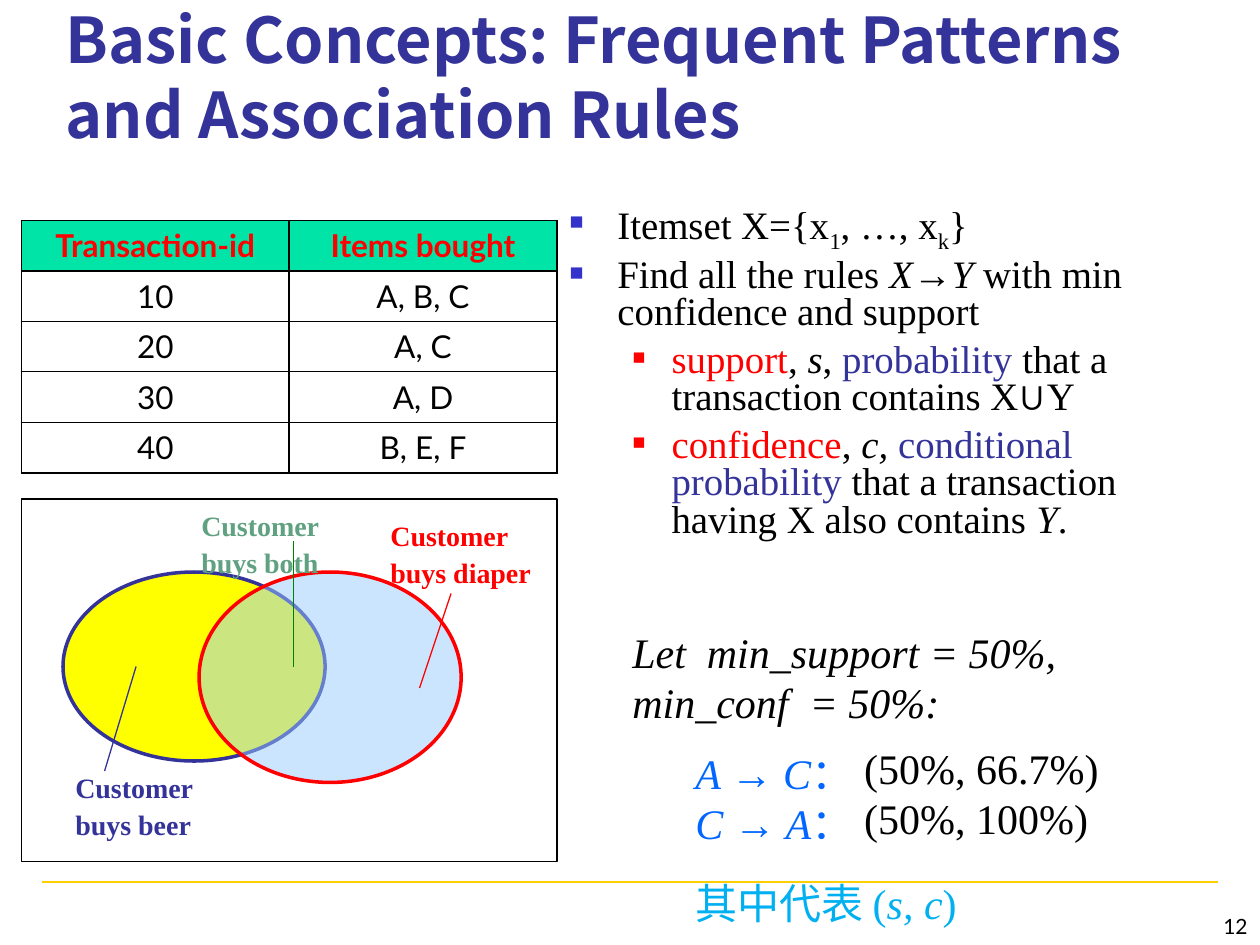
from lxml.etree import SubElement
from pptx import Presentation
from pptx.dml.color import RGBColor
from pptx.enum.shapes import MSO_CONNECTOR, MSO_SHAPE
from pptx.enum.text import MSO_ANCHOR, PP_ALIGN
from pptx.oxml.ns import qn
from pptx.util import Inches, Pt

BLACK = RGBColor(0, 0, 0)
RED = RGBColor(0xFF, 0, 0)
NAVY = RGBColor(0x33, 0x33, 0x99)
INDIGO = RGBColor(0x33, 0x33, 0xCC)
BLUE = RGBColor(0x00, 0x66, 0xFF)
CYAN = RGBColor(0x00, 0xB0, 0xF0)
SKY = RGBColor(0x99, 0xCC, 0xFF)
YELLOW = RGBColor(0xFF, 0xFF, 0)
GOLD = RGBColor(0xFF, 0xCF, 0x01)
GREEN = RGBColor(0, 0x80, 0)
SAGE = RGBColor(0x5F, 0xA1, 0x80)
MINT = RGBColor(0, 0xE4, 0xA8)
SERIF, SANS, ARIAL = "Times New Roman", "Lato", "Arial"

TITLE = "Basic Concepts: Frequent Patterns and Association Rules"

# A run is (text, marks, colour); marks: i italic, b bold, - subscript, a Arial
BODY = [
    (0, [("Itemset X={x", "", BLACK), ("1", "-", BLACK), (", …, x", "", BLACK),
         ("k", "-", BLACK), ("}", "", BLACK)]),
    (0, [("Find all the rules ", "", BLACK), ("X", "i", BLACK), ("→", "ia", BLACK),
         ("Y ", "i", BLACK), ("with min confidence and support", "", BLACK)]),
    (1, [("support", "", RED), (", ", "", BLACK), ("s", "i", BLACK), (", ", "", BLACK),
         ("probability", "", NAVY), (" that a transaction contains X", "", BLACK),
         ("∪", "a", BLACK), ("Y", "", BLACK)]),
    (1, [("confidence", "", RED), (", ", "", BLACK), ("c, ", "i", BLACK),
         ("conditional probability", "", NAVY),
         (" that a transaction having X also contains ", "", BLACK),
         ("Y", "i", BLACK), (".", "", BLACK)]),
]
# level: (left indent, hanging indent, bullet colour, bullet size in %)
LEVELS = [(0.38, -0.38, INDIGO, 60), (0.81, -0.31, RED, 55)]

# (left indent, space before, runs)
RULES = [
    (0, 0, [("Let  min_support = 50%, min_conf  = 50%:", "i", BLACK)]),
    (0.5, 11.5, [("A ", "i", BLUE), ("→", "a", BLUE), (" C", "i", BLUE), ("：", "", BLUE)]),
    (0.5, 0, [("C ", "i", BLUE), ("→", "a", BLUE), (" A", "i", BLUE), ("：", "", BLUE)]),
    (0.5, 17, [("其中代表 (", "", CYAN), ("s, c", "i", CYAN), (")", "", CYAN)]),
]
SCORES = ["(50%, 66.7%)", "(50%, 100%)"]

TABLE = [("Transaction-id", "Items bought"), ("10", "A, B, C"), ("20", "A, C"),
         ("30", "A, D"), ("40", "B, E, F")]

OVALS = [((0.5, 4.54, 2.08, 1.5), YELLOW, NAVY, 100),
         ((1.58, 4.54, 2.08, 1.67), SKY, RED, 50)]
LEADS = [((1.08, 5.29, 0.83, 6.12), NAVY), ((3.33, 5.46, 3.58, 4.71), RED),
         ((2.33, 5.29, 2.33, 4.29), GREEN)]
LABELS = [((3, 4.04, 1.35, 0.69), "buys diaper", RED),
          ((1.5, 3.96, 1.16, 0.69), "buys both", SAGE),
          ((0.5, 6.04, 1.16, 0.69), "buys beer", NAVY)]


def inches(nums):
    return [Inches(n) for n in nums]


def write(para, runs, size, face=SERIF):
    for text, marks, color in runs:
        run = para.add_run()
        run.text = text
        font = run.font
        font.size, font.name = Pt(size), ARIAL if "a" in marks else face
        font.bold, font.italic = "b" in marks, "i" in marks
        font.color.rgb = color
        if "-" in marks:
            font._element.set("baseline", "-25000")


def lines(frame, count):
    """Yield the given number of paragraphs, starting with the one already there."""
    for n in range(count):
        yield frame.add_paragraph() if n else frame.paragraphs[0]


def indent(para, left, hang=0):
    props = para._p.get_or_add_pPr()
    props.set("marL", str(Inches(left)))
    props.set("indent", str(Inches(hang)))
    return props


def bullet(props, color, size):
    SubElement(SubElement(props, qn("a:buClr")), qn("a:srgbClr"), val=str(color))
    SubElement(props, qn("a:buSzPct"), val=str(size * 1000))
    SubElement(props, qn("a:buFont"), typeface=ARIAL)
    SubElement(props, qn("a:buChar"), char="■")


def place(shape, box):
    shape.left, shape.top, shape.width, shape.height = inches(box)
    return shape.text_frame


def textbox(slide, box):
    frame = slide.shapes.add_textbox(*inches(box)).text_frame
    frame.word_wrap = True
    return frame


def line(slide, ends, color, width):
    link = slide.shapes.add_connector(MSO_CONNECTOR.STRAIGHT, *inches(ends))
    link.line.color.rgb, link.line.width = color, Pt(width)
    SubElement(link._element.spPr, qn("a:effectLst"))


def outline(slide, kind, box, color, width):
    shape = slide.shapes.add_shape(kind, *inches(box))
    shape.shadow.inherit = False
    shape.fill.background()
    shape.line.color.rgb, shape.line.width = color, Pt(width)
    return shape


def border(cell, row):
    thick, thin = Pt(1.08), Pt(0.45)
    top = thick if row < 2 else thin
    base = thick if row in (0, len(TABLE) - 1) else thin
    props = cell._tc.get_or_add_tcPr()
    sides = zip(("lnL", "lnR", "lnT", "lnB"), (thick, thick, top, base))
    for n, (side, width) in enumerate(sides):
        edge = props.makeelement(qn("a:" + side), {"w": str(width)})
        props.insert(n, edge)
        fill = SubElement(edge, qn("a:solidFill"))
        SubElement(fill, qn("a:srgbClr"), val=str(BLACK))


def add_texts(slide):
    frame = place(slide.shapes.title, (0.42, 0.17, 9.25, 1.08))
    frame.vertical_anchor, frame.word_wrap = MSO_ANCHOR.BOTTOM, True
    para = frame.paragraphs[0]
    para.alignment, para.line_spacing = PP_ALIGN.LEFT, Pt(43)
    write(para, [(TITLE, "b", NAVY)], 36, "Noto Sans CJK SC")

    frame = place(slide.placeholders[1], (4.42, 1.58, 5.42, 2.96))
    for n, (para, (level, runs)) in enumerate(zip(lines(frame, len(BODY)), BODY)):
        left, hang, color, size = LEVELS[level]
        para.level = level
        bullet(indent(para, left, hang), color, size)
        para.line_spacing, para.space_before = 0.8, Pt(6 if n else 0)
        write(para, runs, 22.2)

    frame = textbox(slide, (4.92, 4.92, 4.42, 2.42))
    for para, (left, gap, runs) in zip(lines(frame, len(RULES)), RULES):
        indent(para, left)
        para.space_before = Pt(gap)
        write(para, runs, 24)


def add_venn(slide):
    for box, fill, edge, alpha in OVALS:
        oval = outline(slide, MSO_SHAPE.OVAL, box, edge, 2)
        oval.fill.solid()
        oval.fill.fore_color.rgb = fill
        if alpha < 100:
            tint = oval._element.spPr.find(qn("a:solidFill"))[0]
            SubElement(tint, qn("a:alpha"), val=str(alpha * 1000))
    for ends, color in LEADS:
        line(slide, ends, color, 0.75)
    for box, text, color in LABELS:
        for para, word in zip(lines(textbox(slide, box), 2), ("Customer", text)):
            para.line_spacing = 1.1
            write(para, [(word, "b", color)], 16)
    outline(slide, MSO_SHAPE.RECTANGLE, (0.17, 3.96, 4.25, 2.88), BLACK, 0.75)


def add_grid(slide):
    box = inches((0.17, 1.75, 4.25, 2))
    grid = slide.shapes.add_table(len(TABLE), 2, *box).table
    for r, row in enumerate(TABLE):
        for c, text in enumerate(row):
            cell = grid.cell(r, c)
            if r:
                cell.fill.background()
            else:
                cell.fill.solid()
                cell.fill.fore_color.rgb = MINT
            border(cell, r)
            para = cell.text_frame.paragraphs[0]
            para.alignment = PP_ALIGN.CENTER
            write(para, [(text, "" if r else "b", BLACK if r else RED)], 18, SANS)


def main():
    deck = Presentation()
    deck.slide_width, deck.slide_height = Inches(10), Inches(7.5)
    slide = deck.slides.add_slide(deck.slide_layouts[1])
    line(slide, (0.33, 7, 9.67, 7), GOLD, 1.5)
    add_texts(slide)
    add_venn(slide)
    add_grid(slide)
    frame = textbox(slide, (7.92, 7.08, 2.08, 0.42))
    frame.vertical_anchor = MSO_ANCHOR.BOTTOM
    frame.paragraphs[0].alignment = PP_ALIGN.RIGHT
    write(frame.paragraphs[0], [("12", "", BLACK)], 12, SANS)
    frame = textbox(slide, (6.76, 5.84, 2.1, 0.9))
    for para, score in zip(lines(frame, len(SCORES)), SCORES):
        write(para, [(score, "", BLACK)], 24)
    deck.save("out.pptx")


if __name__ == "__main__":
    main()
